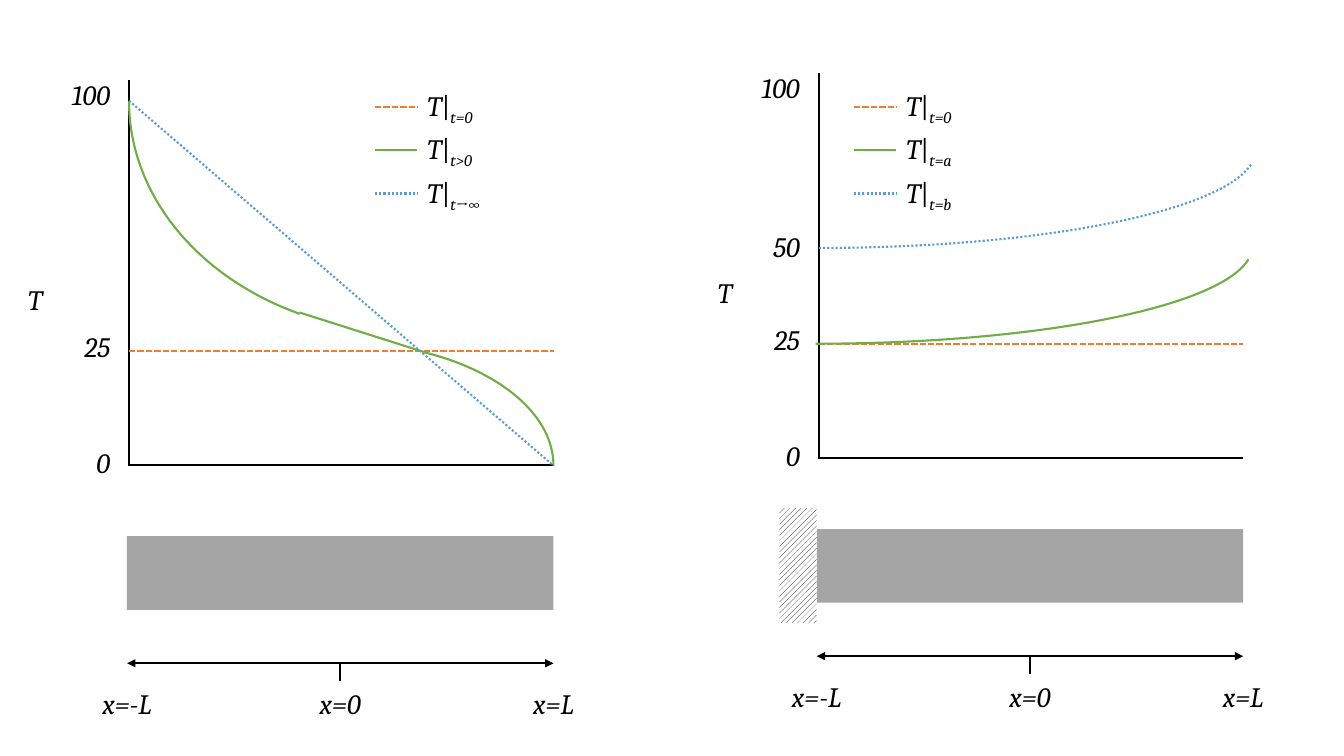
import pptx
import pptx.util
import pptx.dml.color
import pptx.enum.dml
import pptx.enum.shapes
import pptx.enum.text
import pptx.oxml.ns
from lxml import etree

Inches = pptx.util.Inches
Pt = pptx.util.Pt
qn = pptx.oxml.ns.qn
SHAPE = pptx.enum.shapes.MSO_SHAPE
DASH = pptx.enum.dml.MSO_LINE
ALIGN = pptx.enum.text.PP_ALIGN

HEX = {"ink": "000000", "paper": "FFFFFF", "bar": "A5A5A5",
       "start": "ED7D31", "mid": "70AD47", "late": "5B9BD5"}
DASHES = {"start": DASH.SQUARE_DOT, "late": DASH.ROUND_DOT}
WIDE = 4.23   # bar length
ROW = 0.43    # legend pitch


def color(name):
    return pptx.dml.color.RGBColor.from_string(HEX[name])


def stroke(line, name):
    line.color.rgb = color(name)
    line.width = Pt(1.5)
    if name in DASHES:
        line.dash_style = DASHES[name]


def rule(shapes, x1, y1, x2, y2, name="ink", arrows=False):
    link = shapes.add_connector(
        pptx.enum.shapes.MSO_CONNECTOR.STRAIGHT,
        Inches(x1), Inches(y1), Inches(x2), Inches(y2))
    stroke(link.line, name)
    props = link.element.spPr
    if arrows:
        for end in ("a:headEnd", "a:tailEnd"):
            etree.SubElement(props.find(qn("a:ln")), qn(end), type="triangle")
    etree.SubElement(props, qn("a:effectLst"))


def label(shapes, x, y, text, align, sub=None):
    box = shapes.add_textbox(Inches(x), Inches(y), Inches(1.32), Inches(0.47))
    frame = box.text_frame
    frame.word_wrap = True
    frame.auto_size = pptx.enum.text.MSO_AUTO_SIZE.SHAPE_TO_FIT_TEXT
    para = frame.paragraphs[0]
    para.alignment = align
    font = para.font
    font.name, font.size, font.italic = "Cambria", Pt(20), True
    font.color.rgb = color("ink")
    para.add_run().text = text
    if sub:
        stem = para.add_run()
        stem.text = "|"
        stem.font.italic = False
        low = para.add_run()
        low.text = sub
        low.font._element.set("baseline", "-25000")


def block(shapes, x, y, w, h):
    rect = shapes.add_shape(SHAPE.RECTANGLE, Inches(x), Inches(y),
                            Inches(w), Inches(h))
    rect.shadow.inherit = False
    rect.line.fill.background()
    return rect


def curve(shapes, x, y, w, h, span, name, turn=0, flip=False):
    arc = shapes.add_shape(SHAPE.ARC, Inches(x), Inches(y),
                           Inches(w), Inches(h))
    arc.shadow.inherit = False
    arc.fill.background()
    stroke(arc.line, name)
    arc.adjustments[0], arc.adjustments[1] = span
    arc.rotation = turn
    if flip:
        arc.element.spPr.xfrm.set("flipH", "1")


def panel(shapes, x, y):
    """Axes, bar and position scale; x is the bar's left, y the axis top."""
    # Position scale
    rule(shapes, x, y + 5.79, x + WIDE, y + 5.79, arrows=True)
    for i, text in enumerate(("x=-L", "x=0", "x=L")):
        label(shapes, x + i * WIDE / 2 - 0.66, y + 5.97, text, ALIGN.CENTER)
    rule(shapes, x + WIDE / 2, y + 5.97, x + WIDE / 2, y + 5.79)
    # Bar
    bar = block(shapes, x, y + 4.53, WIDE, 0.73)
    bar.fill.solid()
    bar.fill.fore_color.rgb = color("bar")
    # Axes
    rule(shapes, x + 0.02, y + 3.83, x + 0.02, y)
    rule(shapes, x + 0.02, y + 3.82, x + WIDE, y + 3.82)
    label(shapes, x - 1.57, y + 1.96, "T", ALIGN.CENTER)
    for text, drop in (("0", 3.58), ("25", 2.43), ("100", -0.07)):
        label(shapes, x - 1.39, y + drop, text, ALIGN.RIGHT)
    # Starting temperature
    rule(shapes, x + 0.02, y + 2.69, x + WIDE, y + 2.69, "start")


def legend(shapes, x, y, subs):
    group = shapes.add_group_shape().shapes
    for i, (name, sub) in enumerate(zip(("start", "mid", "late"), subs)):
        top = y + i * ROW
        rule(group, x, top + 0.23, x + 0.42, top + 0.23, name)
        label(group, x + 0.42, top, "T", ALIGN.LEFT, sub)


def fixed(shapes, x, y):
    """Bar with both end temperatures held."""
    panel(shapes, x, y)
    rule(shapes, x + 1.71, y + 2.31, x + 2.97, y + 2.71, "mid")
    curve(shapes, x + 0.02, y - 2.09, 5.68, 4.61, (179.14, 0), "mid", 180)
    curve(shapes, x - 0.07, y + 2.6, 4.3, 2.46, (185.02, 0), "mid")
    rule(shapes, x + 0.02, y + 0.21, x + WIDE, y + 3.83, "late")
    legend(shapes, x + 2.46, y + 0.04, ("t=0", "t>0", "t→∞"))


def walled(shapes, x, y):
    """Bar against an insulating wall."""
    panel(shapes, x, y)
    legend(shapes, x + 0.37, y + 0.11, ("t=0", "t=a", "t=b"))
    # Wall
    wall = block(shapes, x - 0.37, y + 4.32, 0.37, 1.14)
    wall.fill.patterned()
    wall.fill.pattern = pptx.enum.dml.MSO_PATTERN.WIDE_UPWARD_DIAGONAL
    wall.fill.fore_color.rgb = color("ink")
    wall.fill.back_color.rgb = color("paper")
    # Rising profiles
    for dx, dy, name in ((-4.33, 0.76, "mid"), (-4.3, -0.19, "late")):
        curve(shapes, x + dx, y + dy, 8.65, 1.93, (161.83, 214.98),
              name, 180, True)
    label(shapes, x - 1.39, y + 1.51, "50", ALIGN.RIGHT)


def main():
    deck = pptx.Presentation()
    deck.slide_width, deck.slide_height = Inches(13.33), Inches(7.5)
    slide = deck.slides.add_slide(deck.slide_layouts[6])
    fixed(slide.shapes, 1.26, 0.79)
    walled(slide.shapes, 8.1, 0.72)
    deck.save("out.pptx")


if __name__ == "__main__":
    main()
